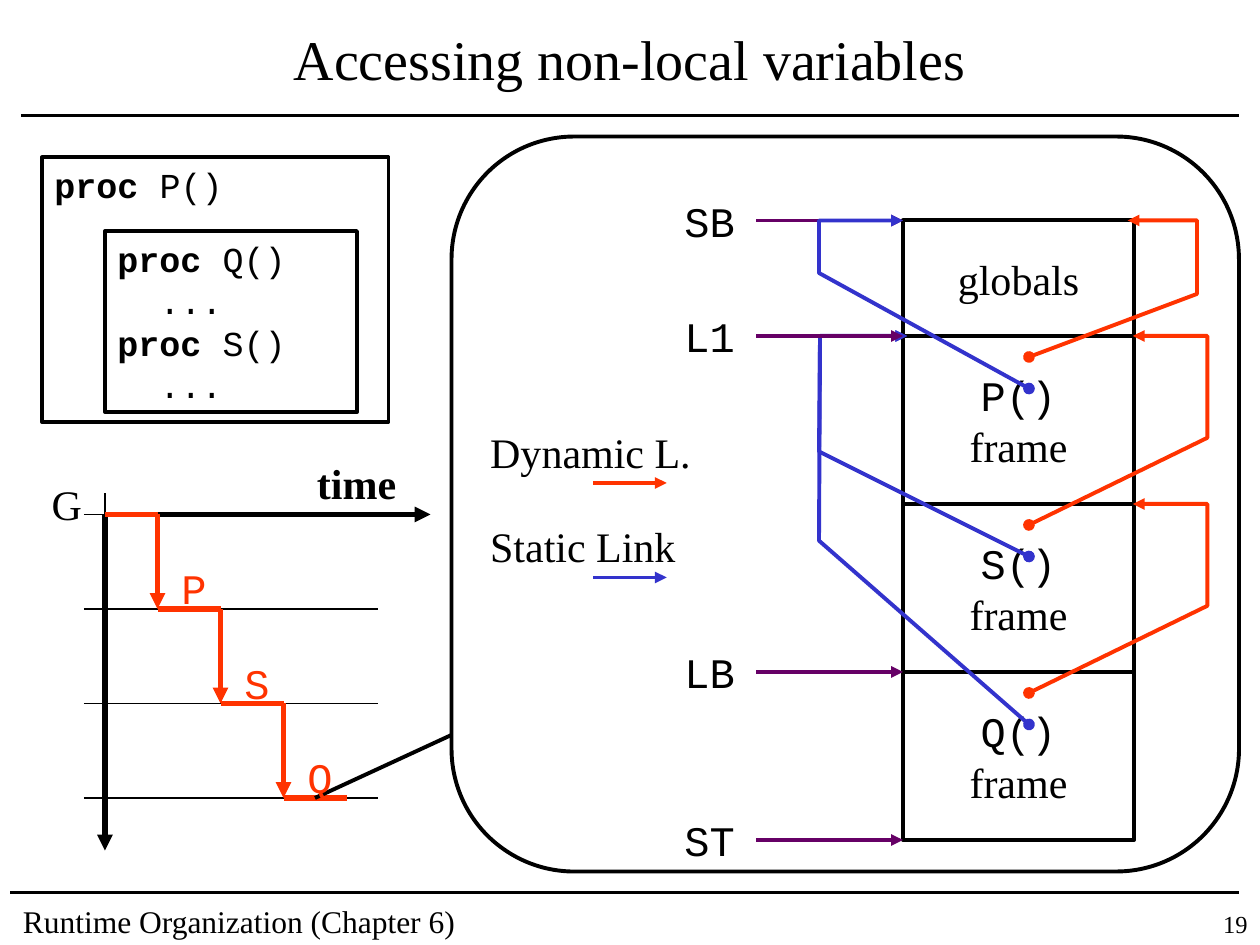
from dataclasses import dataclass

from lxml.etree import SubElement
from pptx import Presentation
from pptx.dml.color import RGBColor as RGB
from pptx.enum.shapes import MSO_CONNECTOR as LINE, MSO_SHAPE as SHAPE
from pptx.enum.text import MSO_ANCHOR as ANCHOR, MSO_AUTO_SIZE as AUTO, PP_ALIGN as ALIGN
from pptx.oxml.ns import qn
from pptx.util import Cm, Pt


@dataclass(frozen=True)
class Theme:
    black: RGB = RGB(0x00, 0x00, 0x00)
    white: RGB = RGB(0xFF, 0xFF, 0xFF)
    red: RGB = RGB(0xFF, 0x33, 0x00)
    blue: RGB = RGB(0x33, 0x33, 0xCC)
    purple: RGB = RGB(0x66, 0x00, 0x66)
    serif: str = "Times New Roman"
    mono: str = "Courier New"
    title: Pt = Pt(32)
    label: Pt = Pt(24)
    code: Pt = Pt(20)
    footer: Pt = Pt(18)
    number: Pt = Pt(14)


T = Theme()
U = 2.54 / 12  # one grid step in cm; all positions below count grid steps
SERIF = {"name": T.serif, "size": T.label}
MONO = {"name": T.mono, "size": T.label}
CODE = {"name": T.mono, "size": T.code}
KEYWORD = {**CODE, "bold": True}

prs = Presentation()
prs.slide_width, prs.slide_height = Cm(120 * U), Cm(90 * U)
slide = prs.slides.add_slide(prs.slide_layouts[5])
shapes = slide.shapes


def add_path(points, color=T.black, width=2.25, head=None, tail=None):
    """Straight connector for two points, open polyline for more."""
    pts = [(Cm(x * U), Cm(y * U)) for x, y in points]
    if len(pts) == 2:
        s = shapes.add_connector(LINE.STRAIGHT, *pts[0], *pts[1])
    else:
        builder = shapes.build_freeform(*pts[0], scale=1.0)
        builder.add_line_segments(pts[1:], close=False)
        s = builder.convert_to_shape()
        s.fill.background()
    s.line.color.rgb = color
    s.line.width = Pt(width)
    props = s.element.spPr
    for tag, kind in (("a:headEnd", head), ("a:tailEnd", tail)):
        if kind:
            SubElement(props.find(qn("a:ln")), qn(tag)).set("type", kind)
    SubElement(props, qn("a:effectLst"))


def write(sp, paragraphs, color=T.black, align=ALIGN.LEFT, anchor=ANCHOR.TOP, wrap=False):
    """Fill a shape with paragraphs, each a list of (text, format) runs."""
    tf = sp.text_frame
    frame_format = {"auto_size": AUTO.NONE, "word_wrap": wrap, "vertical_anchor": anchor,
                    "margin_left": Cm(0.25), "margin_right": Cm(0.25),
                    "margin_top": Cm(0.13), "margin_bottom": Cm(0.13)}
    for key, value in frame_format.items():
        setattr(tf, key, value)
    for i, runs in enumerate(paragraphs):
        p = tf.add_paragraph() if i else tf.paragraphs[0]
        p.alignment = align
        for text, fmt in runs:
            r = p.add_run()
            r.text = text
            for key, value in fmt.items():
                setattr(r.font, key, value)
            r.font.color.rgb = color


# Title and page rules
title = shapes.title
title.left, title.top, title.width, title.height = (Cm(n * U) for n in (3, 1, 114, 9))
write(title, [[("Accessing non-local variables", {**SERIF, "size": T.title})]],
      align=ALIGN.CENTER, anchor=ANCHOR.MIDDLE, wrap=True)
add_path([(2, 11), (118, 11)])
add_path([(1, 85), (118, 85)])

# Boxes: nested procedures, then the stack from globals to the newest frame
stack_tops = [21, 32, 48, 64, 80]
frames = [[[("globals", SERIF)]]]
frames += [[[(f"{name}()", MONO)], [("frame", SERIF)]] for name in "PSQ"]
code_style = {"wrap": True}
frame_style = {"align": ALIGN.CENTER, "anchor": ANCHOR.MIDDLE}
boxes = [
    (4, 15, 33, 25.2, [[("proc ", KEYWORD), ("P()", CODE)]], code_style),
    (10, 22, 24, 17.25, [
        [("proc ", KEYWORD), ("Q()", CODE)], [("  ...", CODE)],
        [("proc ", KEYWORD), ("S()", CODE)], [("  ...", CODE)]], code_style),
]
boxes += [(86, top, 22, bottom - top, text, frame_style)
          for top, bottom, text in zip(stack_tops, stack_tops[1:], frames)]
for x, y, w, h, text, style in boxes:
    sp = shapes.add_shape(SHAPE.RECTANGLE, *(Cm(n * U) for n in (x, y, w, h)))
    sp.shadow.inherit = False
    sp.fill.solid()
    sp.fill.fore_color.rgb = T.white
    sp.line.color.rgb = T.black
    sp.line.width = Pt(2.25)
    write(sp, text, **style)

# Timeline axes and levels
levels = [49, 58, 67, 76]
for y in levels[1:]:
    add_path([(8, y), (36, y)], width=0.75)
add_path([(8, 49), (10, 49)], width=0.75)
add_path([(10, 49), (10, 47)], width=1)
add_path([(10, 49), (41, 49)], width=3, tail="triangle")
add_path([(10, 49), (10, 81)], width=3, tail="triangle")

# Active procedure over time
steps = [10, 15, 21, 27, 33]
for i, y in enumerate(levels):
    add_path([(steps[i], y), (steps[i + 1], y)], T.red, 3)
    if y != levels[-1]:
        add_path([(steps[i + 1], y), (steps[i + 1], levels[i + 1])], T.red, 3, tail="triangle")

# Stack pointers, dynamic links (red) and static links (blue)
pointers = {"SB": 21, "L1": 32, "LB": 64, "ST": 80}
links = [
    ([(98, 66), (115, 57.7), (115, 48), (107.9, 48)], T.red, "oval"),
    ([(98, 69), (78, 51.5), (78.1, 32), (86.4, 32)], T.blue, "oval"),
    ([(98, 53), (78, 43), (78.1, 32), (86.4, 32)], T.blue, "oval"),
    ([(98, 50), (115, 41.7), (115, 32), (107.9, 32)], T.red, "oval"),
]
links += [([(72, y), (86, y)], T.purple, None) for y in pointers.values()]
links += [
    ([(98, 34), (114, 28), (114, 21), (107.4, 21)], T.red, "oval"),
    ([(98, 37), (78, 26), (78, 21), (86, 21)], T.blue, "oval"),
]
for points, color, head in links:
    add_path(points, color, head=head, tail="triangle")

# Balloon around the stack
add_path([(30, 76), (43, 70)])
balloon = shapes.add_shape(SHAPE.ROUNDED_RECTANGLE, *(Cm(n * U) for n in (43, 13, 75, 70)))
balloon.adjustments[0] = 0.167
balloon.shadow.inherit = False
balloon.fill.background()
balloon.line.color.rgb = T.black
balloon.line.width = Pt(2.25)

# Legend arrows
for y, color in ((46, T.red), (55, T.blue)):
    add_path([(56.5, y), (63.5, y)], color, tail="triangle")

# Labels, footer and slide number
labels = [
    ("time", 29, 43, 10, {**SERIF, "bold": True}, T.black),
    ("G", 3.75, 45, 5.3, SERIF, T.black),
    ("Dynamic L.", 45.5, 40, 21.5, SERIF, T.black),
    ("Static Link", 45.5, 49, 20, SERIF, T.black),
    ("Runtime Organization (Chapter 6)", 1, 85.25, 46, {**SERIF, "size": T.footer}, T.black),
    ("19", 111, 86, 9, {**SERIF, "size": T.number}, T.black),
]
labels += [(name, 64, y - 3, 7.2, MONO, T.black) for name, y in pointers.items()]
labels += [(name, x + 1.1, y - 5, 4.8, MONO, T.red)
           for name, x, y in zip("PSQ", steps[1:], levels[1:])]
for text, x, y, w, fmt, color in labels:
    s = shapes.add_textbox(*(Cm(n * U) for n in (x, y, w, 4 if text == "19" else 6)))
    write(s, [[(text, fmt)]], color, ALIGN.RIGHT if text == "19" else ALIGN.LEFT,
          wrap=text == "19")

prs.save("out.pptx")
